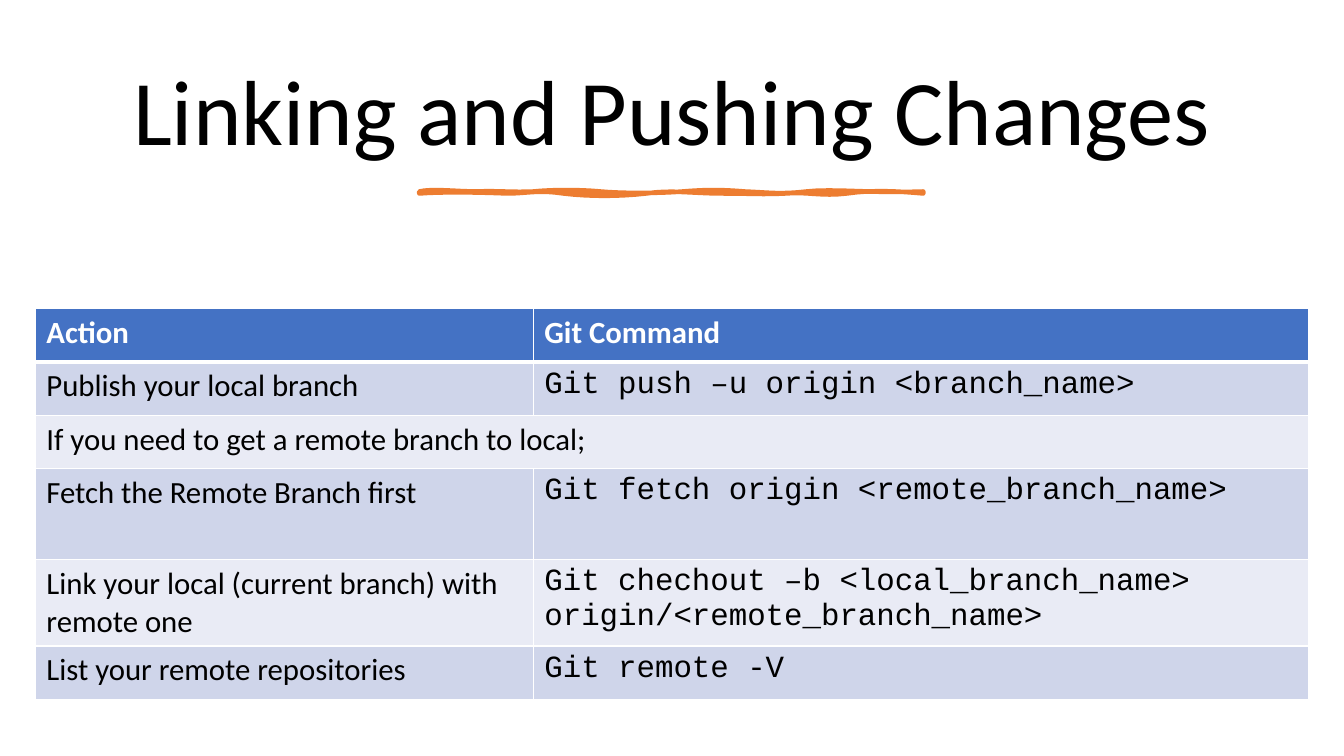
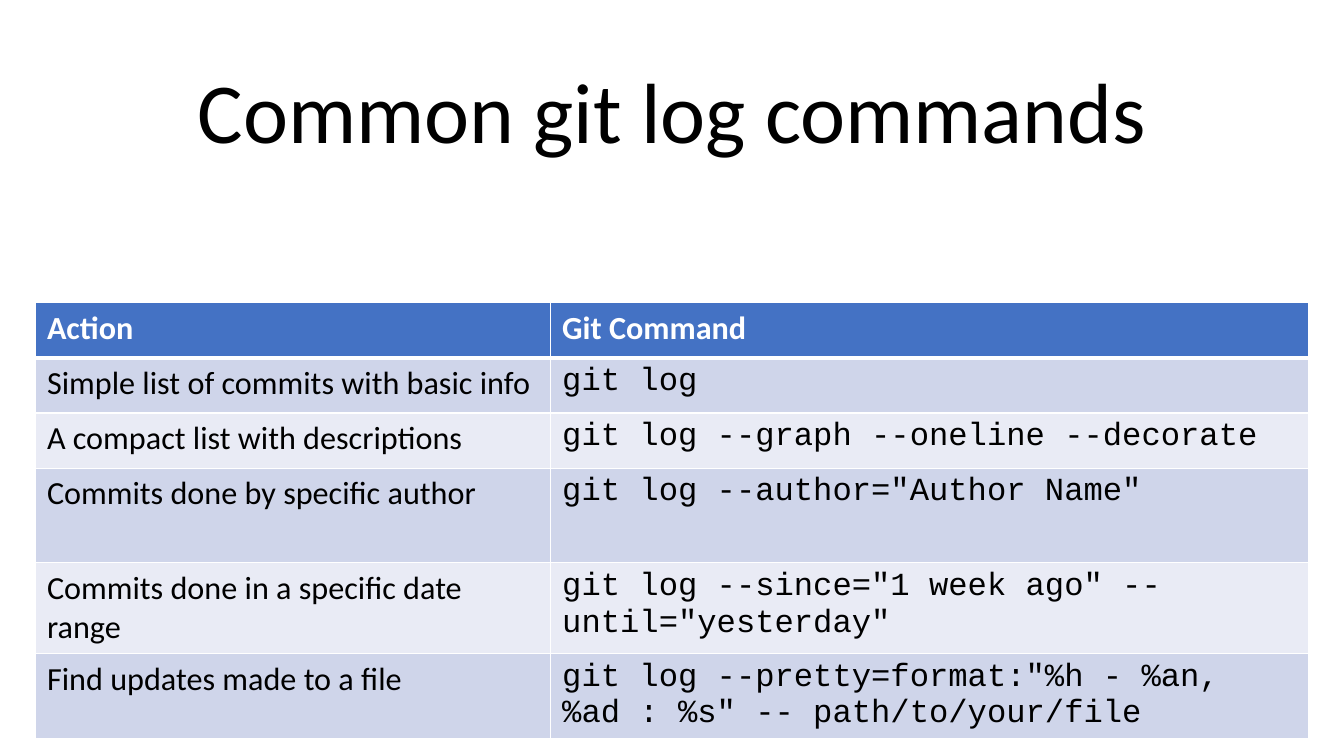
from dataclasses import dataclass

import pptx
import pptx.dml.color
import pptx.enum.text
import pptx.oxml
import pptx.oxml.ns
import pptx.util

Pt = pptx.util.Pt
Color = pptx.dml.color.RGBColor.from_string


@dataclass(frozen=True)
class Theme:
    text_font: str = "Calibri"
    code_font: str = "Courier New"
    ink: str = "000000"
    paper: str = "FFFFFF"
    header: str = "4472C4"
    bands: tuple = ("CFD5EA", "E9EBF5")
    accent: str = "ED7D31"
    border: float = 1
    header_border: float = 3
    underline: float = 3.25


THEME = Theme()
PAGE_SIZE = (960, 540)
TITLE_BOX = (50.4, 33.1, 859, 98.6)
TABLE_LEFT, TABLE_WIDTH = 25.2, 909.4
HEADINGS = ("Action", "Git Command")

# A row with None as its command spans both columns.
SLIDES = [
    {
        "title": "Linking and Pushing Changes",
        "title_size": 66,
        "underlined": True,
        "top": 220.3,
        "action_width": 355.7,
        "text_size": 22,
        "inset": (8, 4),
        "heights": (38.2, 38.2, 38.2, 65, 61, 38.2),
        "rows": [
            ("Publish your local branch", "Git push –u origin <branch_name>"),
            ("If you need to get a remote branch to local;", None),
            ("Fetch the Remote Branch first", "Git fetch origin <remote_branch_name>"),
            ("Link your local (current branch) with remote one",
             "Git chechout –b <local_branch_name> origin/<remote_branch_name>"),
            ("List your remote repositories", "Git remote -V"),
        ],
    },
    {
        "title": "Common git log commands",
        "title_size": 61,
        "underlined": False,
        "top": 216,
        "action_width": 368,
        "text_size": 23,
        "inset": (8.4, 4.2),
        "heights": (39.5, 39.5, 39.5, 67.5, 64.5, 60),
        "rows": [
            ("Simple list of commits with basic info", "git log"),
            ("A compact list with descriptions", "git log --graph --oneline --decorate"),
            ("Commits done by specific author", 'git log --author="Author Name"'),
            ("Commits done in a specific date range",
             'git log --since="1 week ago" --until="yesterday"'),
            ("Find updates made to a file",
             'git log --pretty=format:"%h - %an, %ad : %s" -- path/to/your/file'),
        ],
    },
]

# Brush stroke: cubic curves as (control, control, end), from its left end.
STROKE_ORIGIN = (299.5, 136.8)
STROKE_TOP = [
    ((8.6, -2.2), (27.4, 0), (41, 0)),
    ((54.7, -0.7), (67, 0.7), (81.4, 0)),
    ((95.8, -1.4), (113.8, -1.4), (129.6, 0)),
    ((144.7, 1.4), (170.6, 1.4), (187.9, 0)),
    ((205.9, -1.4), (214.6, -1.4), (232.6, 0)),
    ((249.8, 0.7), (257.8, 2.2), (276.5, 0)),
    ((295.2, -2.2), (324.7, 1.4), (360, 0)),
]
STROKE_BOTTOM = [
    ((360, 0.5), (360, 1), (360, 1.4)),
    ((344.9, 0), (323.3, -1.4), (305.3, 1.4)),
    ((287.3, 3.6), (277.2, 0), (261.4, 1.4)),
    ((244.8, 2.2), (238.3, 1.4), (216.7, 1.4)),
    ((195.1, 1.4), (180.7, -1.4), (162, 1.4)),
    ((142.6, 3.6), (121.7, 3.6), (103, 1.4)),
    ((85, -1.4), (77, 1.4), (62.6, 1.4)),
    ((48.2, 0.7), (15.8, 0), (0, 1.4)),
]


def style_text(paragraph, size, color, font=THEME.text_font, bold=False):
    for span in paragraph.runs:
        span.font.name = font
        span.font.size = Pt(size)
        span.font.bold = bold
        span.font.color.rgb = Color(color)


def add_title(page, text, size):
    box = page.shapes.title
    box.left, box.top, box.width, box.height = map(Pt, TITLE_BOX)
    frame = box.text_frame
    frame.text = text
    frame.auto_size = pptx.enum.text.MSO_AUTO_SIZE.NONE
    frame.vertical_anchor = pptx.enum.text.MSO_ANCHOR.MIDDLE
    paragraph = frame.paragraphs[0]
    paragraph.alignment = pptx.enum.text.PP_ALIGN.CENTER
    paragraph.line_spacing = 0.9
    style_text(paragraph, size, THEME.ink)


def trace_curves(start, curves, steps=8):
    """Return points along joined cubic curves."""
    points = []
    for first, second, end in curves:
        for step in range(1, steps + 1):
            t = step / steps
            u = 1 - t
            points.append(tuple(
                u**3 * a + 3 * u * u * t * b + 3 * u * t * t * c + t**3 * d
                for a, b, c, d in zip(start, first, second, end)))
        start = end
    return points


def add_underline(page):
    left, top = STROKE_ORIGIN
    points = [(Pt(left + x), Pt(top + y))
              for x, y in trace_curves((0, 0), STROKE_TOP + STROKE_BOTTOM)]
    builder = page.shapes.build_freeform(Pt(left), Pt(top))
    builder.add_line_segments(points, close=True)
    stroke = builder.convert_to_shape()
    stroke.shadow.inherit = False
    stroke.fill.solid()
    stroke.fill.fore_color.rgb = Color(THEME.accent)
    stroke.line.color.rgb = Color(THEME.accent)
    stroke.line.width = Pt(THEME.underline)


def set_borders(cell, row_index):
    widths = dict.fromkeys(("lnL", "lnR", "lnT", "lnB"), THEME.border)
    if row_index == 0:
        widths["lnB"] = THEME.header_border
    elif row_index == 1:
        widths["lnT"] = THEME.header_border
    properties = cell._tc.get_or_add_tcPr()
    for side, width in widths.items():
        properties.append(pptx.oxml.parse_xml(
            f'<a:{side} {pptx.oxml.ns.nsdecls("a")} w="{Pt(width)}">'
            f'<a:solidFill><a:srgbClr val="{THEME.paper}"/></a:solidFill></a:{side}>'))


def fill_cell(cell, text, row_index, is_code, size, inset):
    is_header = row_index == 0
    set_borders(cell, row_index)
    cell.fill.solid()
    cell.fill.fore_color.rgb = Color(
        THEME.header if is_header else THEME.bands[(row_index - 1) % 2])
    cell.margin_left = cell.margin_right = Pt(inset[0])
    cell.margin_top = cell.margin_bottom = Pt(inset[1])
    if text is None:
        return
    cell.text_frame.text = text
    style_text(cell.text_frame.paragraphs[0], size,
               THEME.paper if is_header else THEME.ink,
               THEME.code_font if is_code else THEME.text_font, is_header)


def add_command_table(page, content):
    rows = [HEADINGS] + content["rows"]
    heights = content["heights"]
    table = page.shapes.add_table(
        len(rows), len(HEADINGS), Pt(TABLE_LEFT), Pt(content["top"]),
        Pt(TABLE_WIDTH), Pt(sum(heights))).table
    table.columns[0].width = Pt(content["action_width"])
    table.columns[1].width = Pt(TABLE_WIDTH - content["action_width"])
    for row_index, (row, height) in enumerate(zip(rows, heights)):
        table.rows[row_index].height = Pt(height)
        for column_index, text in enumerate(row):
            fill_cell(table.cell(row_index, column_index), text, row_index,
                      row_index > 0 and column_index == 1,
                      content["text_size"], content["inset"])
        if row[1] is None:
            table.cell(row_index, 0).merge(table.cell(row_index, 1))


def main():
    deck = pptx.Presentation()
    deck.slide_width, deck.slide_height = map(Pt, PAGE_SIZE)
    title_only = deck.slide_layouts[5]
    for content in SLIDES:
        page = deck.slides.add_slide(title_only)
        add_title(page, content["title"], content["title_size"])
        if content["underlined"]:
            add_underline(page)
        add_command_table(page, content)
    deck.save("out.pptx")


if __name__ == "__main__":
    main()
